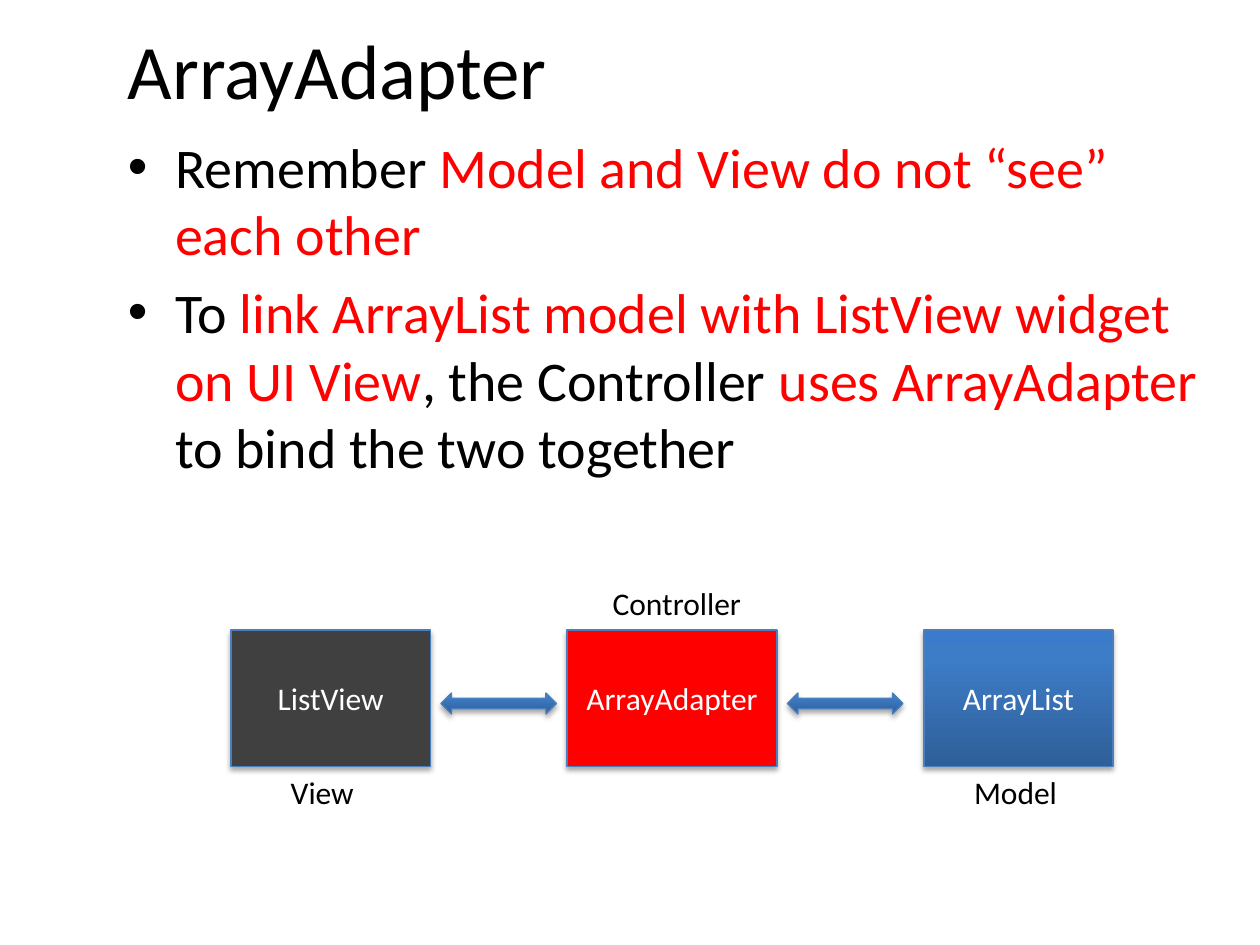
from copy import deepcopy

from lxml import etree
from pptx import Presentation
from pptx.dml.color import RGBColor
from pptx.enum.shapes import MSO_SHAPE
from pptx.enum.text import MSO_ANCHOR, MSO_AUTO_SIZE, PP_ALIGN
from pptx.oxml.ns import qn
from pptx.util import Pt

RECT, ARROW = MSO_SHAPE.RECTANGLE, MSO_SHAPE.LEFT_RIGHT_ARROW
MIDDLE, TOP = MSO_ANCHOR.MIDDLE, MSO_ANCHOR.TOP
CENTER = PP_ALIGN.CENTER
FIT_SHAPE = MSO_AUTO_SIZE.SHAPE_TO_FIT_TEXT

BLACK, WHITE, RED, GRAY = "000000", "FFFFFF", "FF0000", "404040"
LINE = "4B7EBC"
BLUE_STOPS = [(0, "2F5F99"), (0.8, "3D7CC7"), (1, "3A7CCB")]


def rgb(value):
    return RGBColor.from_string(value)


class SlideBuilder:
    font = "Calibri"

    def __init__(self, slide):
        self.s = slide

    def run(self, p, text, size, color):
        r = p.add_run()
        r.text = text
        for name, value in {"name": self.font, "size": Pt(size)}.items():
            setattr(r.font, name, value)
        r.font.color.rgb = rgb(color)

    def textbox(self, x, y, w, h, **frame):
        tf = self.s.shapes.add_textbox(Pt(x), Pt(y), Pt(w), Pt(h)).text_frame
        for name, value in ({"word_wrap": True} | frame).items():
            setattr(tf, name, value)
        return tf

    def title(self, x, y, w, h, text):
        tf = self.textbox(x, y, w, h, vertical_anchor=MIDDLE)
        self.run(tf.paragraphs[0], text, 44, BLACK)

    def label(self, x, y, w, text):
        tf = self.textbox(x, y, w, 29, word_wrap=False, auto_size=FIT_SHAPE)
        self.run(tf.paragraphs[0], text, 18, BLACK)

    def bullets(self, x, y, w, h, items):
        tf = self.textbox(x, y, w, h, vertical_anchor=TOP)
        for i, runs in enumerate(items):
            p = tf.add_paragraph() if i else tf.paragraphs[0]
            p.space_before = Pt(6.4)
            pPr = p._p.get_or_add_pPr()
            pPr.set("marL", str(Pt(27)))
            pPr.set("indent", str(-Pt(27)))
            etree.SubElement(pPr, qn("a:buFont"), typeface="Arial")
            etree.SubElement(pPr, qn("a:buChar"), char="•")
            for text, color in runs:
                self.run(p, text, 32, color)

    def shape(self, kind, x, y, w, h, fill=None):
        """Add a shadowed shape; without a fill colour it gets the blue gradient."""
        sp = self.s.shapes.add_shape(kind, Pt(x), Pt(y), Pt(w), Pt(h))
        if fill:
            sp.fill.solid()
            sp.fill.fore_color.rgb = rgb(fill)
        else:
            self.gradient(sp)
        sp.line.color.rgb = rgb(LINE)
        sp.line.width = Pt(0.75)
        self.shadow(sp)
        return sp

    def gradient(self, sp):
        sp.fill.gradient()
        sp.fill.gradient_angle = 90
        stops = sp._element.spPr.find(".//" + qn("a:gsLst"))
        stops.append(deepcopy(stops[-1]))
        for stop, (position, color) in zip(sp.fill.gradient_stops, BLUE_STOPS):
            stop.position = position
            stop.color.rgb = rgb(color)

    def shadow(self, sp):
        sp.shadow.inherit = False
        effects = sp._element.spPr.find(qn("a:effectLst"))
        outer = etree.SubElement(
            effects, qn("a:outerShdw"), blurRad=str(Pt(3.1)), dist=str(Pt(1.8)),
            dir="5400000", rotWithShape="0")
        color = etree.SubElement(outer, qn("a:srgbClr"), val=BLACK)
        etree.SubElement(color, qn("a:alpha"), val="35000")

    def box(self, x, y, w, h, text, fill=None):
        tf = self.shape(RECT, x, y, w, h, fill).text_frame
        tf.vertical_anchor = MIDDLE
        p = tf.paragraphs[0]
        p.alignment = CENTER
        self.run(p, text, 18, WHITE)


def main():
    prs = Presentation()
    prs.slide_width, prs.slide_height = Pt(720), Pt(540)
    b = SlideBuilder(prs.slides.add_slide(prs.slide_layouts[6]))

    b.title(66, 6, 636, 66, "ArrayAdapter")
    b.bullets(66, 72, 630, 216, [
        [("Remember ", BLACK), ("Model and View do not “see” each other", RED)],
        [("To ", BLACK),
         ("link ArrayList model with ListView widget on UI View", RED),
         (", the Controller ", BLACK),
         ("uses ArrayAdapter ", RED),
         ("to bind the two together", BLACK)],
    ])

    for x, w, text, fill in [(132, 114, "ListView", GRAY),
                             (324, 120, "ArrayAdapter", RED),
                             (528, 108, "ArrayList", None)]:
        b.box(x, 360, w, 78, text, fill)
    for x, y, w, text in [(159, 438, 51, "View"),
                          (343, 330, 89, "Controller"),
                          (549.5, 438, 63, "Model")]:
        b.label(x, y, w, text)
    for x in (252, 450):
        b.shape(ARROW, x, 396, 66, 12)

    prs.save("out.pptx")


if __name__ == "__main__":
    main()
